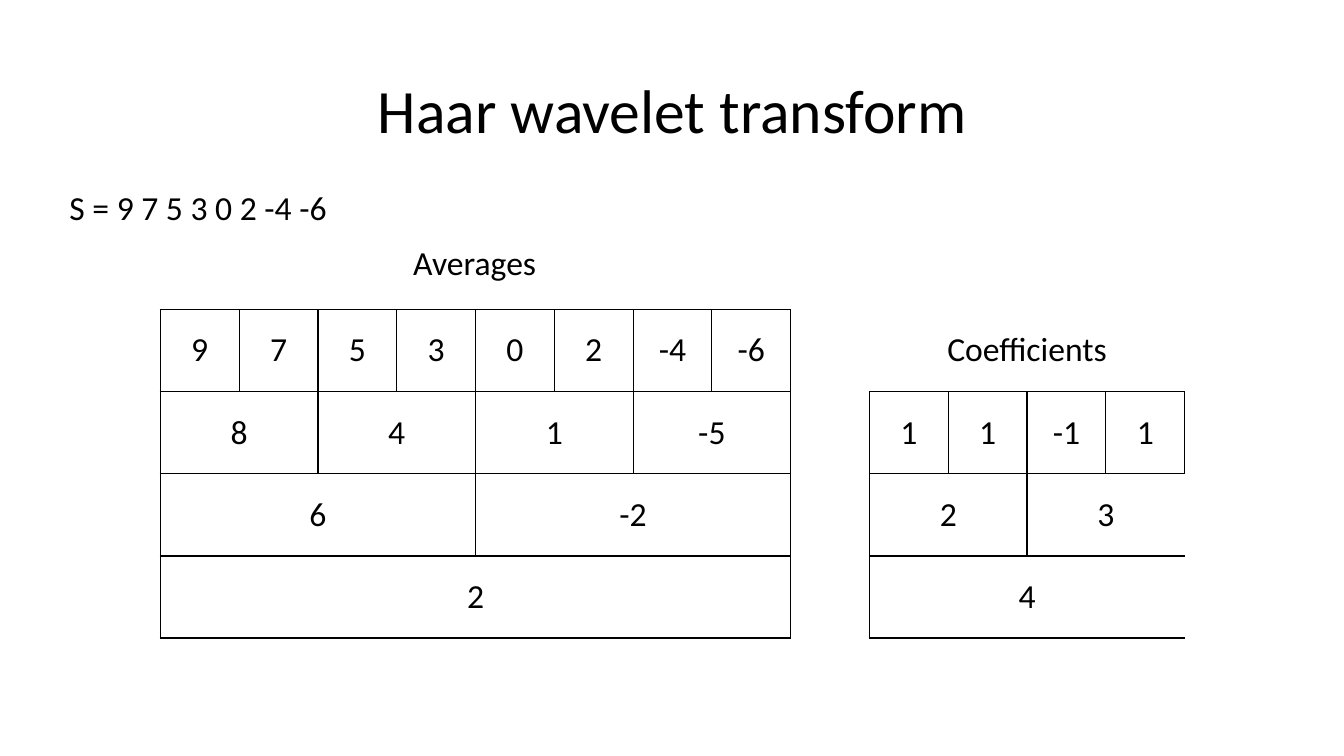
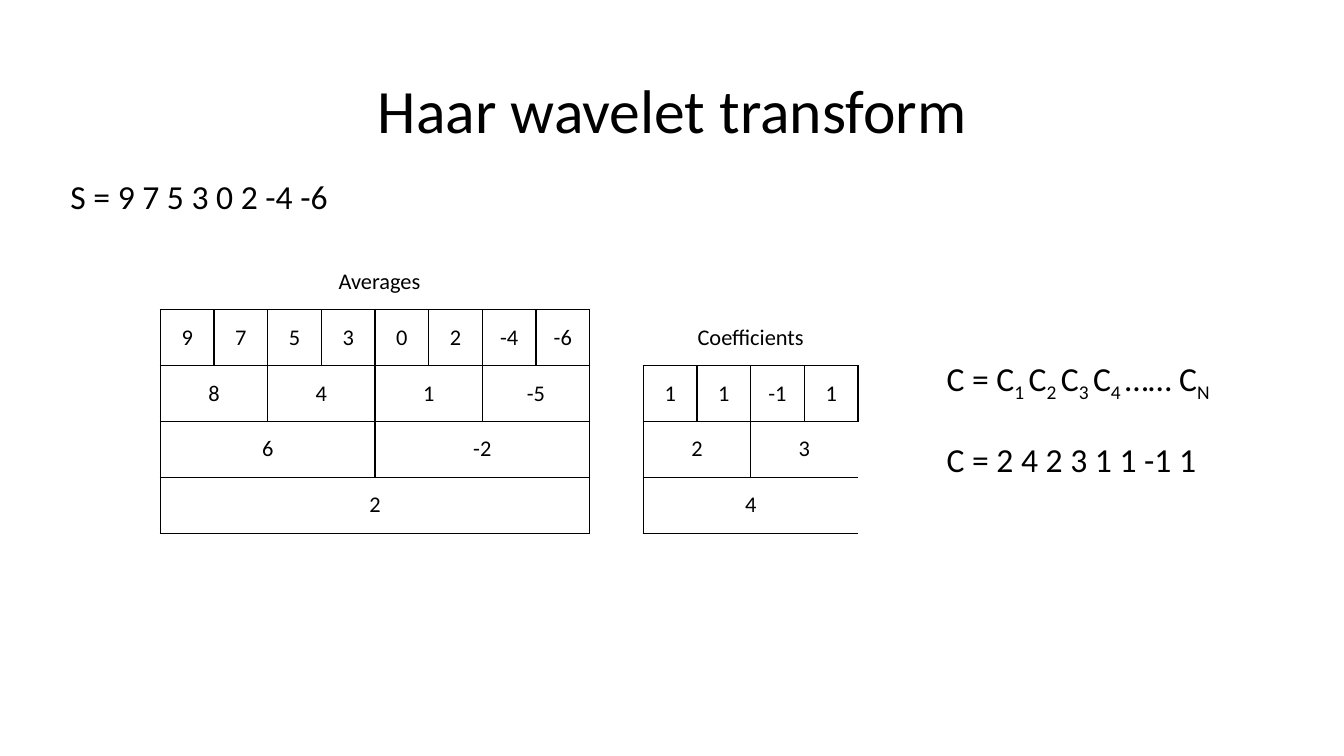
import lxml.etree
import pptx
import pptx.dml.color
import pptx.enum.text
import pptx.oxml.ns
import pptx.util

Inches = pptx.util.Inches
Pt = pptx.util.Pt
ALIGN = pptx.enum.text.PP_ALIGN
MIDDLE = pptx.enum.text.MSO_ANCHOR.MIDDLE
FIT_SHAPE = pptx.enum.text.MSO_AUTO_SIZE.SHAPE_TO_FIT_TEXT

BLACK = pptx.dml.color.RGBColor(0x00, 0x00, 0x00)
FONT_NAME = "Calibri"

# Content
HEADING = "Haar wavelet transform"
SIGNAL = "S = 9 7 5 3 0 2 -4 -6"
AVERAGES = [[9, 7, 5, 3, 0, 2, -4, -6], [8, 4, 1, -5], [6, -2], [2]]
COEFFICIENTS = [[1, 1, -1, 1], [2, 3], [4]]
# Normal and subscript pieces take turns
COEFFICIENT_SERIES = ["C = C", "1 ", "C", "2 ", "C", "3 ", "C", "4 ", "…… C", "N"]
COEFFICIENT_VALUES = "C = 2 4 2 3 1 1 -1 1"

# Wavelet grid: averages, one empty column, coefficients one row lower
ROWS = len(AVERAGES)
GAP_COLUMN = len(AVERAGES[0])
COEFFICIENT_COLUMN = GAP_COLUMN + 1
COLUMNS = COEFFICIENT_COLUMN + len(COEFFICIENTS[0])


def box_at(row, column):
    """First column and width of the number box at a grid place, or None."""
    if not (0 <= row < ROWS and 0 <= column < COLUMNS):
        return None
    if column < GAP_COLUMN:
        start, span = 0, 2 ** row
    elif column > GAP_COLUMN and row > 0:
        start, span = COEFFICIENT_COLUMN, 2 ** (row - 1)
    else:
        return None
    return row, start + (column - start) // span * span, span


class WaveletDeck:
    def __init__(self):
        self.presentation = pptx.Presentation()
        self.presentation.slide_width = Inches(13.33)
        self.presentation.slide_height = Inches(7.5)
        self.slide = None

    def apply(self, target, formats):
        for name, value in formats.items():
            setattr(target, name, value)

    def style(self, font, size):
        self.apply(font, {"name": FONT_NAME, "size": Pt(size)})
        font.color.rgb = BLACK

    def add_slide(self):
        layout = self.presentation.slide_layouts[5]
        self.slide = self.presentation.slides.add_slide(layout)
        title = self.slide.shapes.title
        self.apply(title, {"left": Inches(0.92), "top": Inches(0.4),
                           "width": Inches(11.5), "height": Inches(1.45)})
        title.text_frame.vertical_anchor = MIDDLE
        paragraph = title.text_frame.paragraphs[0]
        paragraph.text = HEADING
        self.apply(paragraph, {"alignment": ALIGN.CENTER, "line_spacing": 0.9})
        self.style(paragraph.runs[0].font, 44)

    def add_text(self, pieces, left, top, width, height=0.5, size=24,
                 wrap=False, align=ALIGN.LEFT):
        """Write pieces in one line, every second one as a subscript."""
        box = self.slide.shapes.add_textbox(
            Inches(left), Inches(top), Inches(width), Inches(height))
        self.apply(box.text_frame, {"word_wrap": wrap, "auto_size": FIT_SHAPE})
        paragraph = box.text_frame.paragraphs[0]
        paragraph.alignment = align
        for number, piece in enumerate(pieces):
            run = paragraph.add_run()
            run.text = piece
            self.style(run.font, size)
            if number % 2:
                run._r.get_or_add_rPr().set("baseline", "-25000")

    def add_borders(self, cell, row, column):
        """Draw a line wherever the neighbour belongs to another box."""
        neighbours = {"a:lnL": (row, column - 1), "a:lnR": (row, column + 1),
                      "a:lnT": (row - 1, column), "a:lnB": (row + 1, column)}
        properties = cell._tc.get_or_add_tcPr()
        for order, (tag, place) in enumerate(neighbours.items()):
            line = lxml.etree.Element(pptx.oxml.ns.qn(tag), w=str(Pt(1)))
            if box_at(row, column) != box_at(*place):
                fill = lxml.etree.SubElement(line, pptx.oxml.ns.qn("a:solidFill"))
                lxml.etree.SubElement(
                    fill, pptx.oxml.ns.qn("a:srgbClr"), val=str(BLACK))
            else:
                lxml.etree.SubElement(line, pptx.oxml.ns.qn("a:noFill"))
            properties.insert(order, line)

    def fill_cell(self, grid, row, column, span, text, size):
        cell = grid.cell(row, column)
        if span > 1:
            cell.merge(grid.cell(row, column + span - 1))
        paragraph = cell.text_frame.paragraphs[0]
        paragraph.text = str(text)
        paragraph.alignment = ALIGN.CENTER
        self.style(paragraph.runs[0].font, size)

    def add_wavelet_grid(self, width, height, size, margins):
        grid = self.slide.shapes.add_table(
            ROWS, COLUMNS, Inches(1.59), Inches(3.07),
            Inches(width), Inches(height)).table
        self.apply(grid, {"first_row": False, "horz_banding": False})
        for column in grid.columns:
            column.width = Inches(width / COLUMNS)
        for row in range(ROWS):
            for column in range(COLUMNS):
                cell = grid.cell(row, column)
                cell.fill.background()
                self.apply(cell, {"vertical_anchor": MIDDLE, **margins})
                self.add_borders(cell, row, column)

        # Numbers, each as wide as the signal values it covers
        for first_row, first_column, levels in (
                (0, 0, AVERAGES), (1, COEFFICIENT_COLUMN, COEFFICIENTS)):
            for level, values in enumerate(levels):
                span = 2 ** level
                for index, value in enumerate(values):
                    self.fill_cell(grid, first_row + level,
                                   first_column + index * span, span, value, size)
        self.fill_cell(grid, 0, COEFFICIENT_COLUMN, len(COEFFICIENTS[0]),
                       "Coefficients", size)


def main():
    deck = WaveletDeck()

    # Averages and coefficients
    deck.add_slide()
    deck.add_wavelet_grid(10.16, 3.26, 24, {})
    deck.add_text([SIGNAL], 0.59, 1.81, 2.77)
    deck.add_text(["Averages"], 4, 2.35, 1.43)

    # Resulting coefficient series
    deck.add_slide()
    deck.add_text([SIGNAL], 0.6, 1.7, 2.77)
    deck.add_wavelet_grid(6.92, 2.22, 16, {
        "margin_left": Inches(0.07), "margin_right": Inches(0.07),
        "margin_top": Inches(0.03), "margin_bottom": Inches(0.03)})
    deck.add_text(["Averages"], 3.26, 2.6, 1.51, 0.37, size=16, wrap=True)
    deck.add_text(COEFFICIENT_SERIES, 9.29, 3.5, 3.55, wrap=True,
                  align=ALIGN.JUSTIFY)
    deck.add_text([COEFFICIENT_VALUES], 9.29, 4.31, 2.69)

    deck.presentation.save("out.pptx")


if __name__ == "__main__":
    main()
